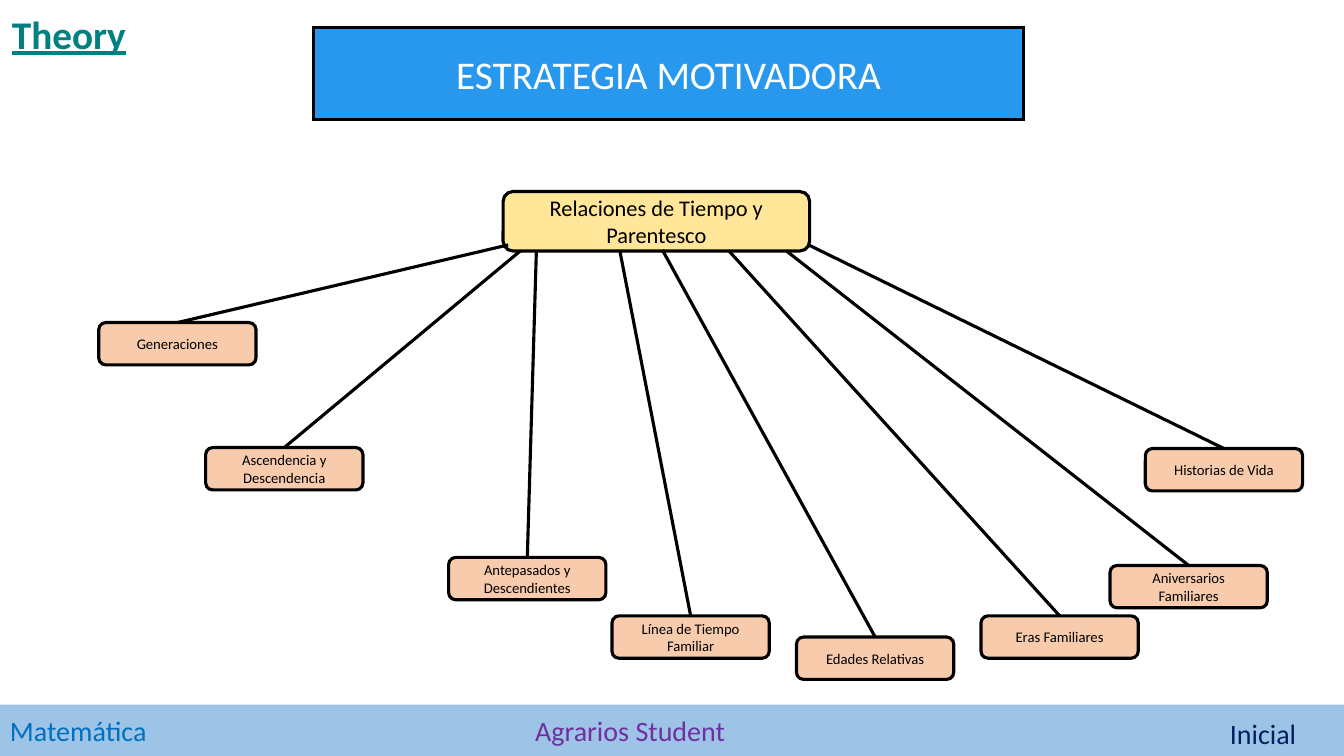
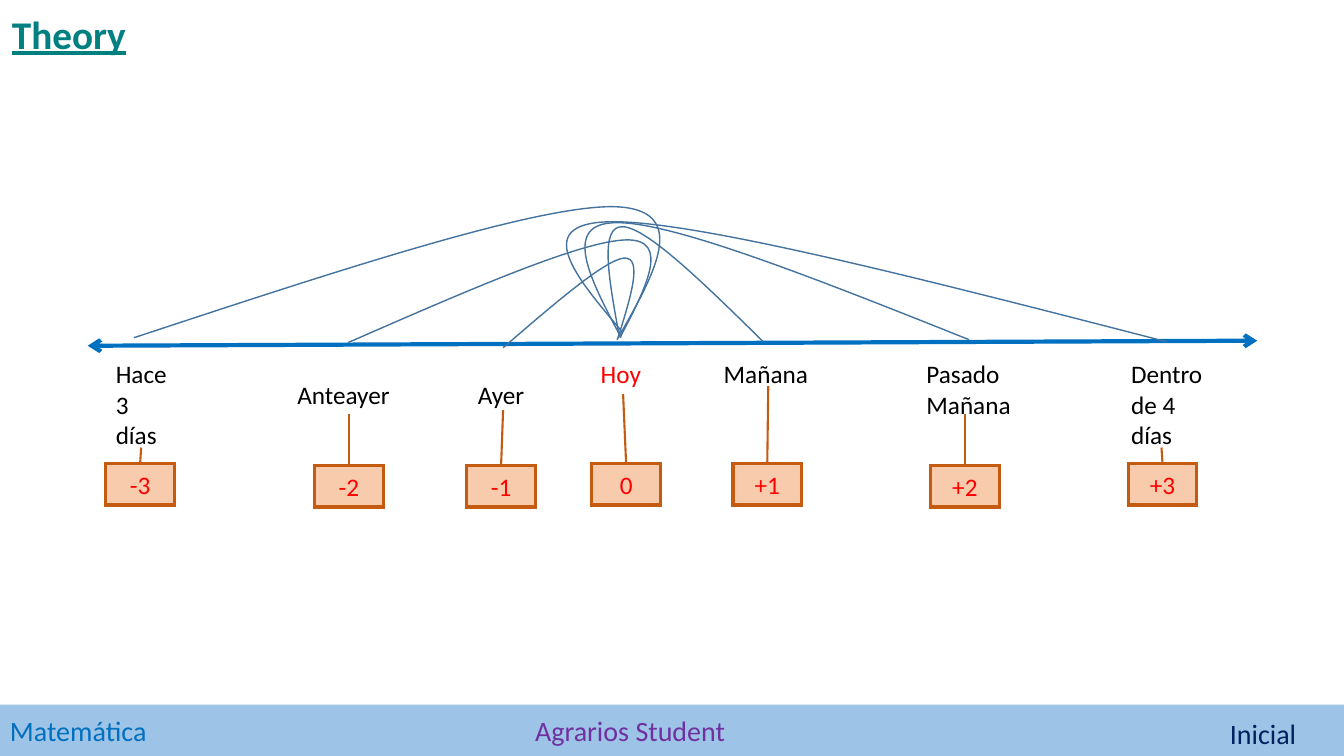
from dataclasses import dataclass

import lxml.etree
import pptx
import pptx.dml.color
import pptx.enum.shapes
import pptx.enum.text
import pptx.oxml.ns
import pptx.presentation
import pptx.shapes.base
import pptx.slide
import pptx.util

Inches = pptx.util.Inches
Pt = pptx.util.Pt
qualified = pptx.oxml.ns.qn
AutoShape = pptx.enum.shapes.MSO_SHAPE
Align = pptx.enum.text.PP_ALIGN
Point = tuple[float, float]
Box = tuple[float, float, float, float]

FONT = "Calibri"
COLORS = {
    "black": "000000",
    "white": "FFFFFF",
    "red": "FF0000",
    "band": "9DC3E6",
    "subject": "0070C0",
    "brand": "7030A0",
    "level": "002060",
    "theory": "008080",
    "title": "2898EE",
    "center": "FFE699",
    "peach": "F8CBAD",
    "rust": "C55A11",
    "axis": "0070C0",
    "arc": "43739E",
}
TOPIC_SIZE = (1.56, 0.42)
VALUE_SIZE = (0.68, 0.41)
ARC_STEPS = 24


@dataclass(frozen=True)
class Label:
    text: str
    box: Box
    color: str
    size: float = 20
    heading: bool = False


@dataclass(frozen=True)
class Topic:
    text: str
    corner: Point
    branch_start: Point


@dataclass(frozen=True)
class Day:
    lines: tuple[str, ...]
    label_box: Box
    value: str
    value_corner: Point
    stem_start: Point
    color: str = "black"


@dataclass(frozen=True)
class Arc:
    """Two joined curves; each pull is the control point next to the apex."""
    start: Point
    first_pull: Point
    apex: Point
    second_pull: Point
    end: Point


FRAME_LABELS = [
    Label("Matemática", (0, 7.03, 1.82, 0.44), "subject"),
    Label("Agrarios Student", (5.21, 7.03, 2.56, 0.44), "brand"),
    Label("Inicial", (12.1, 7.06, 1.1, 0.44), "level"),
    Label("Theory", (0.02, 0.05, 1.47, 0.57), "theory", 28, True),
]
TOPICS = [
    Topic("Generaciones", (0.98, 3.2), (5.04, 2.43)),
    Topic("Ascendencia y Descendencia", (2.04, 4.44), (5.16, 2.49)),
    Topic("Antepasados y Descendientes", (4.45, 5.53), (5.32, 2.49)),
    Topic("Línea de Tiempo Familiar", (6.07, 6.11), (6.15, 2.5)),
    Topic("Edades Relativas", (7.9, 6.32), (6.57, 2.48)),
    Topic("Eras Familiares", (9.73, 6.11), (7.23, 2.49)),
    Topic("Aniversarios Familiares", (11.01, 5.61), (7.8, 2.49)),
    Topic("Historias de Vida", (11.36, 4.45), (8.02, 2.43)),
]
DAYS = [
    Day(("Hace 3 días",), (1.05, 3.51, 0.76, 1.01), "-3", (1.05, 4.6), (1.4, 4.44)),
    Day(("Anteayer",), (2.85, 3.71, 1.22, 0.4), "-2", (3.12, 4.62), (3.46, 4.11)),
    Day(("Ayer",), (4.64, 3.71, 0.81, 0.4), "-1", (4.63, 4.62), (4.99, 4.07)),
    Day(("Hoy",), (5.86, 3.51, 0.68, 0.4), "0", (5.87, 4.6), (6.18, 3.91), "red"),
    Day(("Mañana",), (7.08, 3.51, 1.06, 0.4), "+1", (7.27, 4.6), (7.62, 3.83)),
    Day(("Pasado", "Mañana"), (9.09, 3.51, 1.06, 0.71), "+2", (9.23, 4.62), (9.57, 4.11)),
    Day(("Dentro de 4 días",), (11.12, 3.51, 1.06, 1.01), "+3", (11.19, 4.6), (11.52, 4.44)),
]
ARCS = [
    Arc((6.12, 3.37), (6.87, 2.06), (6.07, 2.05), (5.27, 2.05), (1.33, 3.35)),
    Arc((6.15, 3.35), (6.66, 2.37), (6.21, 2.38), (5.76, 2.39), (3.45, 3.4)),
    Arc((6.13, 3.35), (6.38, 2.55), (6.19, 2.56), (6, 2.58), (4.99, 3.45)),
    Arc((6.14, 3.32), (5.94, 2.23), (6.18, 2.25), (6.42, 2.26), (7.57, 3.39)),
    Arc((6.16, 3.35), (5.55, 2.2), (6.13, 2.21), (6.7, 2.21), (9.61, 3.37)),
    Arc((6.17, 3.29), (5.23, 2.18), (6.13, 2.2), (7.03, 2.22), (11.57, 3.39)),
]


def rgb(name: str) -> pptx.dml.color.RGBColor:
    return pptx.dml.color.RGBColor.from_string(COLORS[name])


def write_text(shape: pptx.shapes.base.BaseShape, lines: tuple[str, ...], size: float,
               color: str, align: Align = Align.CENTER, heading: bool = False) -> None:
    frame = shape.text_frame
    frame.word_wrap = True
    for index, line in enumerate(lines):
        paragraph = frame.add_paragraph() if index else frame.paragraphs[0]
        paragraph.alignment = align
        run = paragraph.add_run()
        run.text = line
        run.font.name = FONT
        run.font.size = Pt(size)
        run.font.color.rgb = rgb(color)
        if heading:
            run.font.bold = True
            run.font.underline = True


def paint(shape: pptx.shapes.base.BaseShape, fill: str, line: str | None = None) -> None:
    """Fill the shape and give it a sharp-cornered outline or none."""
    shape.fill.solid()
    shape.fill.fore_color.rgb = rgb(fill)
    if line:
        shape.line.color.rgb = rgb(line)
        shape.line.width = Pt(2.25)
        outline = shape.element.spPr.find(qualified("a:ln"))
        lxml.etree.SubElement(outline, qualified("a:miter"), lim="800000")
    else:
        shape.line.fill.background()


def add_box(slide: pptx.slide.Slide, kind: AutoShape, box: Box, fill: str,
            line: str | None = None) -> pptx.shapes.base.BaseShape:
    shape = slide.shapes.add_shape(kind, *map(Inches, box))
    shape.shadow.inherit = False
    paint(shape, fill, line)
    return shape


def add_label(slide: pptx.slide.Slide, lines: tuple[str, ...], box: Box, size: float,
              color: str, heading: bool = False) -> pptx.shapes.base.BaseShape:
    shape = slide.shapes.add_textbox(*map(Inches, box))
    write_text(shape, lines, size, color, Align.LEFT, heading)
    return shape


def add_line(slide: pptx.slide.Slide, start: Point, end: Point, color: str,
             width: float, arrows: bool = False) -> None:
    connector = slide.shapes.add_connector(
        pptx.enum.shapes.MSO_CONNECTOR.STRAIGHT, *map(Inches, (*start, *end)))
    connector.line.color.rgb = rgb(color)
    connector.line.width = Pt(width)
    properties = connector.element.spPr
    if arrows:
        outline = properties.find(qualified("a:ln"))
        for tag in ("a:headEnd", "a:tailEnd"):
            lxml.etree.SubElement(outline, qualified(tag), type="arrow")
    lxml.etree.SubElement(properties, qualified("a:effectLst"))


def midpoint(first: Point, second: Point) -> Point:
    return (first[0] + second[0]) / 2, (first[1] + second[1]) / 2


def cubic_points(controls: tuple[Point, ...]) -> list[Point]:
    """Points along a cubic Bézier curve, in EMU."""
    points = []
    for step in range(ARC_STEPS + 1):
        t = step / ARC_STEPS
        weights = ((1 - t) ** 3, 3 * t * (1 - t) ** 2, 3 * t ** 2 * (1 - t), t ** 3)
        x, y = (sum(weight * control[axis] for weight, control in zip(weights, controls))
                for axis in (0, 1))
        points.append((Inches(x), Inches(y)))
    return points


def add_arc(slide: pptx.slide.Slide, arc: Arc) -> None:
    """Size a freeform to the curve, then replace its segments by two Béziers."""
    curves = [
        (arc.start, midpoint(arc.start, arc.first_pull), arc.first_pull, arc.apex),
        (arc.apex, arc.second_pull, midpoint(arc.second_pull, arc.end), arc.end),
    ]
    points = [point for curve in curves for point in cubic_points(curve)]
    builder = slide.shapes.build_freeform(*points[0], scale=1.0)
    builder.add_line_segments(points[1:], close=False)
    shape = builder.convert_to_shape()
    shape.shadow.inherit = False
    shape.fill.background()
    shape.line.color.rgb = rgb("arc")
    shape.line.width = Pt(1)

    outline = next(shape.element.iter(qualified("a:path")))
    for segment in outline.findall(qualified("a:lnTo")):
        outline.remove(segment)
    for curve in curves:
        bezier = lxml.etree.SubElement(outline, qualified("a:cubicBezTo"))
        for x, y in curve[1:]:
            lxml.etree.SubElement(bezier, qualified("a:pt"),
                                  x=str(Inches(x) - shape.left), y=str(Inches(y) - shape.top))


def move_frame_to_master(presentation: pptx.presentation.Presentation,
                         slide: pptx.slide.Slide) -> None:
    """Draw the band and labels on the slide, then hand them to the master."""
    frame = [add_box(slide, AutoShape.RECTANGLE, (0, 6.99, 13.33, 0.51), "band")]
    frame += [add_label(slide, (label.text,), label.box, label.size, label.color, label.heading)
              for label in FRAME_LABELS]
    for number, shape in enumerate(frame, start=100):
        shape.element.nvSpPr.cNvPr.id = number
        presentation.slide_master.shapes.element.append(shape.element)


def build_topic_map(slide: pptx.slide.Slide) -> None:
    title = slide.shapes.title
    title.left, title.top, title.width, title.height = map(Inches, (3.11, 0.27, 7.04, 0.92))
    paint(title, "title", "black")
    title.text_frame.auto_size = pptx.enum.text.MSO_AUTO_SIZE.NONE
    title.text_frame.vertical_anchor = pptx.enum.text.MSO_ANCHOR.MIDDLE
    write_text(title, ("ESTRATEGIA MOTIVADORA",), 28, "white")

    center = add_box(slide, AutoShape.ROUNDED_RECTANGLE, (4.99, 1.9, 3.04, 0.59),
                     "center", "black")
    write_text(center, ("Relaciones de Tiempo y Parentesco",), 16, "black")
    for topic in TOPICS:
        left, top = topic.corner
        add_line(slide, topic.branch_start, (left + TOPIC_SIZE[0] / 2, top), "black", 2.25)
        box = add_box(slide, AutoShape.ROUNDED_RECTANGLE, (left, top, *TOPIC_SIZE),
                      "peach", "black")
        write_text(box, (topic.text,), 10.5, "black")


def build_timeline(slide: pptx.slide.Slide) -> None:
    add_line(slide, (0.87, 3.43), (12.47, 3.38), "axis", 3, arrows=True)
    for day in DAYS:
        left, top = day.value_corner
        add_label(slide, day.lines, day.label_box, 18, day.color)
        box = add_box(slide, AutoShape.RECTANGLE, (left, top, *VALUE_SIZE), "peach", "rust")
        write_text(box, (day.value,), 18, "red")
        add_line(slide, day.stem_start, (left + VALUE_SIZE[0] / 2, top), "rust", 1.5)
    for arc in ARCS:
        add_arc(slide, arc)


def main() -> None:
    presentation = pptx.Presentation()
    presentation.slide_width = Inches(13.33)
    presentation.slide_height = Inches(7.5)
    title_only = presentation.slide_layouts.get_by_name("Title Only")
    blank = presentation.slide_layouts.get_by_name("Blank")

    topic_slide = presentation.slides.add_slide(title_only)
    move_frame_to_master(presentation, topic_slide)
    build_topic_map(topic_slide)
    build_timeline(presentation.slides.add_slide(blank))
    presentation.save("out.pptx")


if __name__ == "__main__":
    main()
